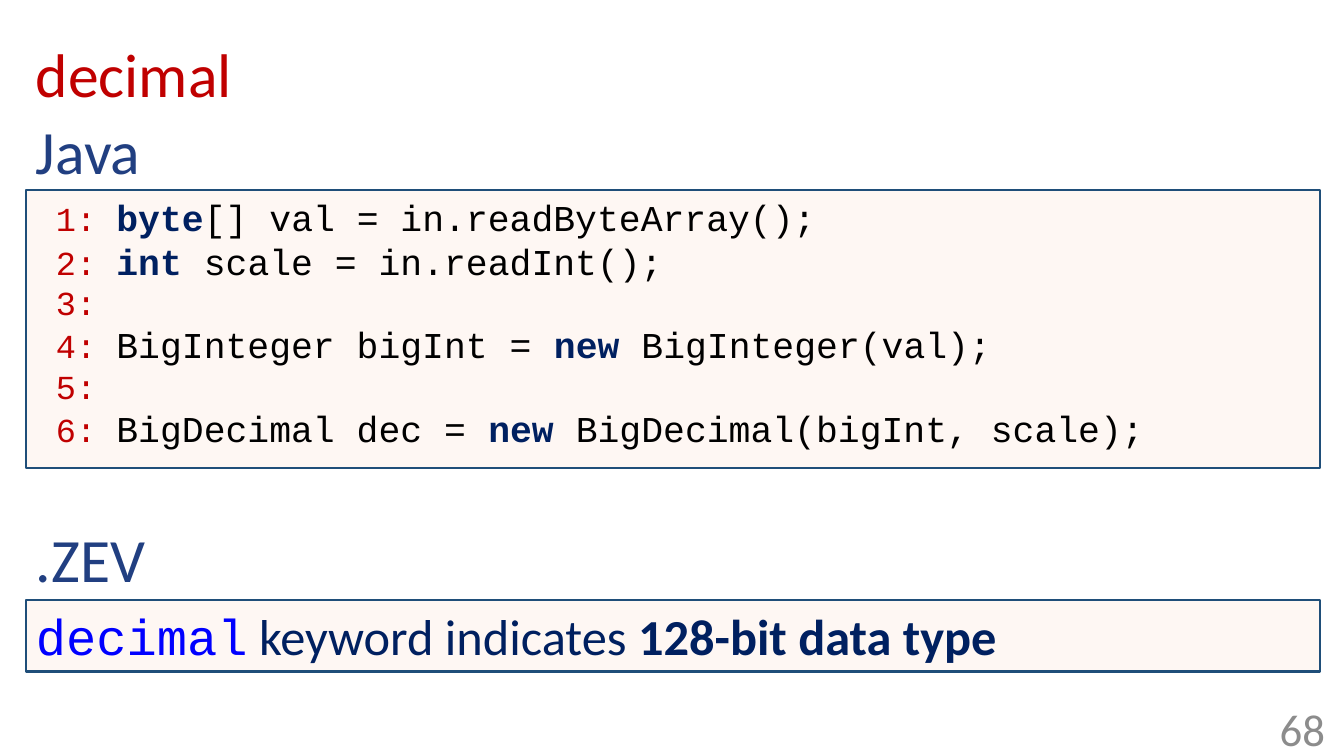
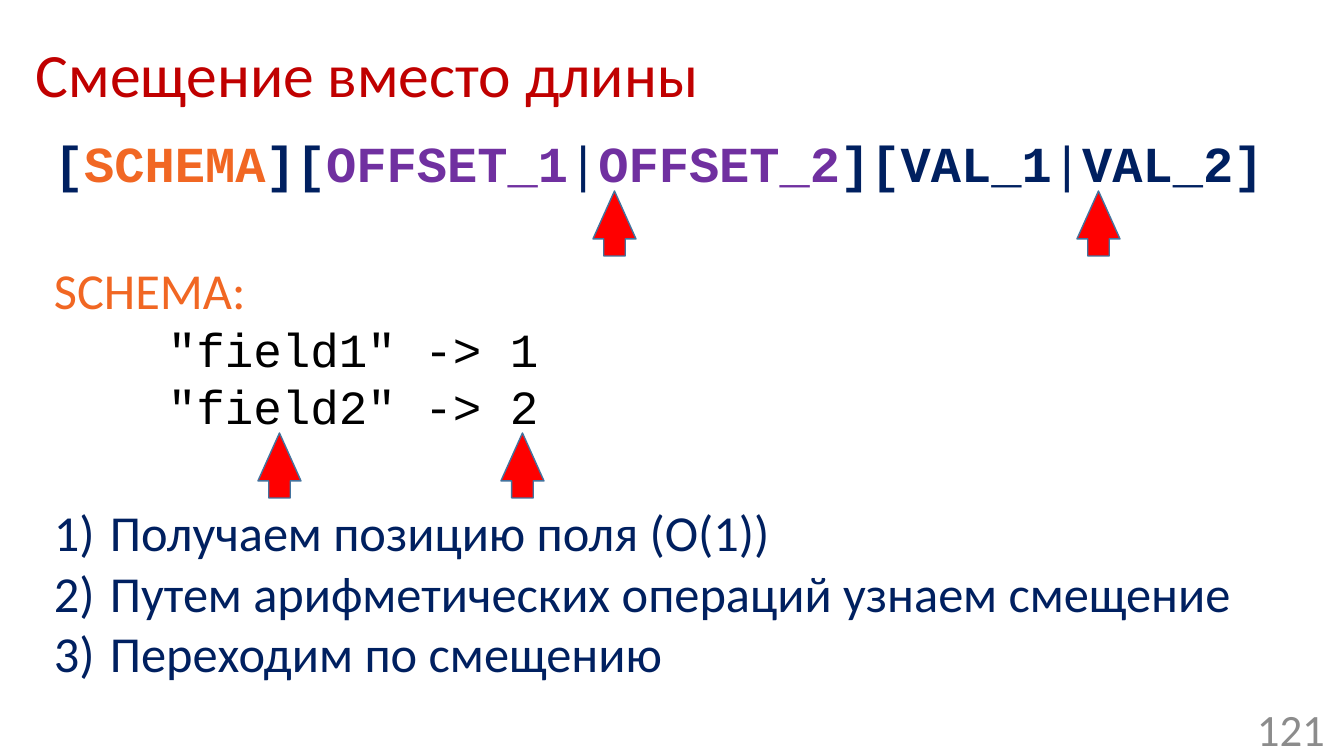
from lxml import etree
from pptx import Presentation
from pptx.dml.color import RGBColor
from pptx.enum.shapes import MSO_SHAPE
from pptx.enum.text import MSO_ANCHOR, PP_ALIGN
from pptx.oxml.ns import qn
from pptx.util import Emu, Pt

RECT, UP_ARROW = MSO_SHAPE.RECTANGLE, MSO_SHAPE.UP_ARROW
TOP, MIDDLE = MSO_ANCHOR.TOP, MSO_ANCHOR.MIDDLE
LEFT, RIGHT = PP_ALIGN.LEFT, PP_ALIGN.RIGHT

# Shared style
SANS, MONO = "Calibri", "Courier New"
CRIMSON = RGBColor(0xC0, 0x00, 0x00)
GRAY = RGBColor(0x8C, 0x8C, 0x8C)
HEADING_BLUE = RGBColor(0x21, 0x3F, 0x81)
NAVY = RGBColor(0x00, 0x20, 0x60)
KEYWORD_BLUE = RGBColor(0x00, 0x00, 0xFF)
BLACK = RGBColor(0x00, 0x00, 0x00)
ORANGE = RGBColor(0xF1, 0x67, 0x23)
PURPLE = RGBColor(0x70, 0x30, 0xA0)
RED = RGBColor(0xFF, 0x00, 0x00)
PANEL_LINE = RGBColor(0x1F, 0x4E, 0x79)
ARROW_LINE = RGBColor(0x43, 0x73, 0x9E)

PX_PER_INCH = 100.8
MARGIN, CONTENT_W = 26, 1294


def px(n):
    return Emu(round(n * 914400 / PX_PER_INCH))


def add_run(p, text, size=36, font=SANS, color=NAVY, bold=False):
    r = p.add_run()
    r.text = text
    r.font.size = Pt(size)
    r.font.name = font
    r.font.color.rgb = color
    r.font.bold = bold
    return r


def next_paragraph(tf, before=0, indent=0, hanging=0, align=LEFT):
    """Use the empty first paragraph, then add further ones."""
    first = tf.paragraphs[0]
    p = tf.add_paragraph() if first.runs else first
    p.alignment = align
    p.space_before = Pt(before)
    pPr = p._p.get_or_add_pPr()
    pPr.set("marL", str(px(indent)))
    pPr.set("indent", str(-px(hanging)))
    return p


def add_text_frame(s, x, y, w, h, anchor=TOP):
    tf = s.shapes.add_textbox(px(x), px(y), px(w), px(h)).text_frame
    tf.word_wrap = True
    tf.vertical_anchor = anchor
    return tf


def add_figure(s, kind, x, y, w, h, fill, line, line_width):
    sp = s.shapes.add_shape(kind, px(x), px(y), px(w), px(h))
    sp.shadow.inherit = False
    sp.fill.solid()
    sp.fill.fore_color.rgb = fill
    sp.line.color.rgb = line
    sp.line.width = Pt(line_width)
    return sp


def add_panel(s, y, h):
    sp = add_figure(s, RECT, MARGIN, y, CONTENT_W, h, ORANGE, PANEL_LINE, 2)
    # Five percent opacity
    color = sp._element.spPr.find(qn("a:solidFill")).find(qn("a:srgbClr"))
    etree.SubElement(color, qn("a:alpha")).set("val", "5000")
    tf = sp.text_frame
    tf.word_wrap = True
    tf.vertical_anchor = TOP
    return tf


def add_heading(s, text, y):
    tf = add_text_frame(s, MARGIN, y, CONTENT_W, 85)
    add_run(next_paragraph(tf), text, size=44, color=HEADING_BLUE)


def add_code(tf, lines):
    """Number the lines; each holds (text, is_keyword) pieces."""
    for number, pieces in enumerate(lines, 1):
        p = next_paragraph(tf, indent=20)
        add_run(p, f"{number}: ", size=24, font=MONO, color=CRIMSON)
        for text, is_keyword in pieces:
            add_run(p, text, size=26, font=MONO, bold=is_keyword,
                    color=NAVY if is_keyword else BLACK)


def add_numbered(tf, items, gap):
    for i, text in enumerate(items):
        p = next_paragraph(tf, before=0 if i else gap, indent=56, hanging=56)
        number = etree.SubElement(p._p.get_or_add_pPr(), qn("a:buAutoNum"))
        number.set("type", "arabicParenR")
        add_run(p, text)


def add_pointer(s, x, y):
    sp = add_figure(s, UP_ARROW, x, y, 43, 65, RED, ARROW_LINE, 1)
    sp.adjustments[0] = 0.5
    sp.adjustments[1] = 1.115


def new_slide(prs, title, number):
    s = prs.slides.add_slide(prs.slide_layouts[6])
    p = next_paragraph(add_text_frame(s, MARGIN, 5, 1159, 146, MIDDLE))
    p.line_spacing = 0.9
    add_run(p, title, size=44, color=CRIMSON)
    tf = add_text_frame(s, 1033, 709, 302, 40, MIDDLE)
    add_run(next_paragraph(tf, align=RIGHT), number, size=32, color=GRAY)
    return s


def decimal_slide(prs):
    s = new_slide(prs, "decimal", "68")
    add_heading(s, "Java", 108)
    add_code(add_panel(s, 190, 278), [
        [("byte", True), ("[] val = in.readByteArray();", False)],
        [("int", True), (" scale = in.readInt();", False)],
        [],
        [("BigInteger bigInt = ", False), ("new ", True),
         ("BigInteger(val);", False)],
        [],
        [("BigDecimal dec = ", False), ("new ", True),
         ("BigDecimal(bigInt, scale);", False)],
    ])
    add_heading(s, ".ZEV", 516)
    p = next_paragraph(add_panel(s, 600, 72))
    add_run(p, "decimal", font=MONO, color=KEYWORD_BLUE)
    add_run(p, " keyword indicates ")
    add_run(p, "128-bit data type", bold=True)


def offset_slide(prs):
    s = new_slide(prs, "Смещение вместо длины", "121")
    tf = add_text_frame(s, 44, 127, 1257, 574)
    section_gap = 48

    # Record layout
    p = next_paragraph(tf)
    for text, color in [("[", NAVY), ("SCHEMA", ORANGE), ("][", NAVY),
                        ("OFFSET_1", PURPLE), ("|", NAVY),
                        ("OFFSET_2", PURPLE), ("][VAL_1", NAVY),
                        ("|", NAVY), ("VAL_2]", NAVY)]:
        add_run(p, text, font=MONO, color=color, bold=text != "|")

    # Schema fields
    add_run(next_paragraph(tf, before=section_gap), "SCHEMA:", color=ORANGE)
    for n in (1, 2):
        add_run(next_paragraph(tf, indent=114), f'"field{n}" -> {n}',
                size=34, font=MONO, color=BLACK)

    # Lookup steps
    add_numbered(tf, ["Получаем позицию поля (O(1))",
                      "Путем арифметических операций узнаем смещение",
                      "Переходим по смещению"], section_gap)

    for x, y in [(258, 433), (501, 433), (593, 191), (1077, 191)]:
        add_pointer(s, x, y)


def main():
    prs = Presentation()
    prs.slide_width, prs.slide_height = px(1344), px(756)
    decimal_slide(prs)
    offset_slide(prs)
    prs.save("out.pptx")


main()
